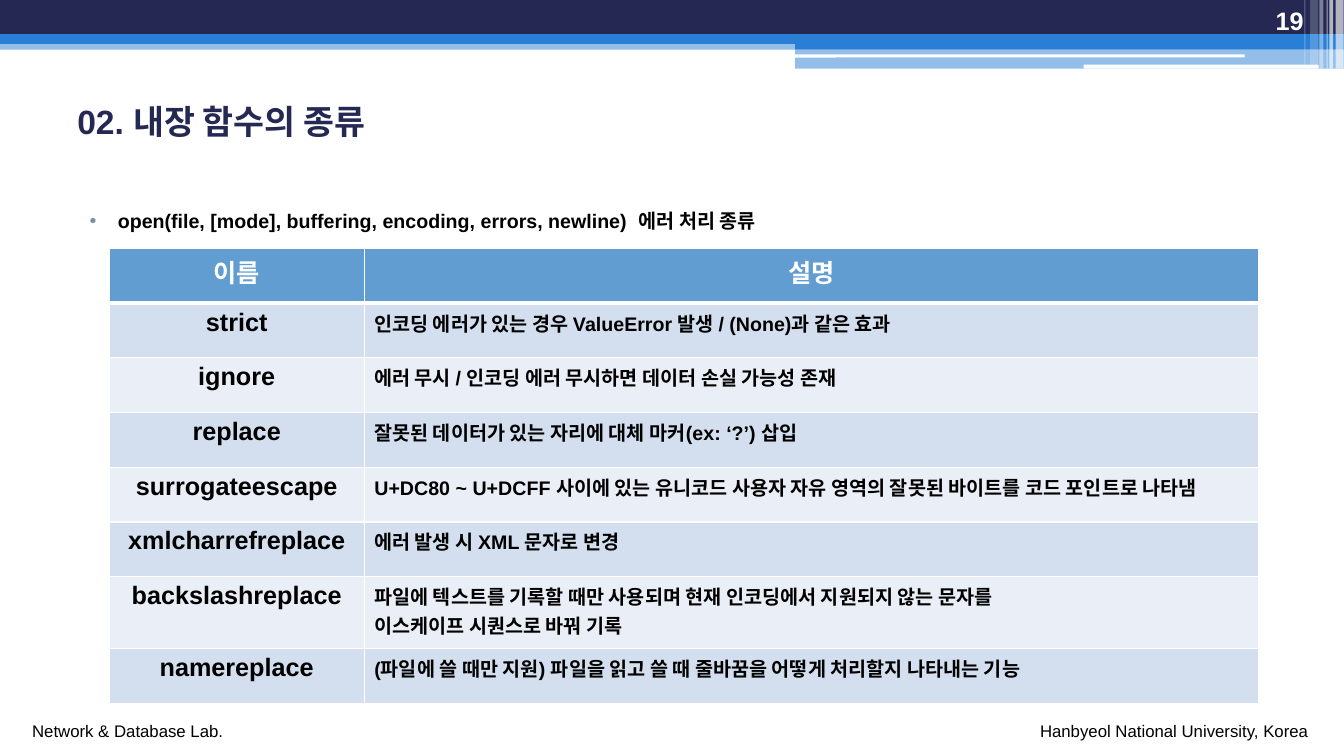
from dataclasses import dataclass

from lxml.etree import SubElement
from pptx import Presentation
from pptx.dml.color import RGBColor as Rgb
from pptx.enum.shapes import MSO_SHAPE as Shape
from pptx.enum.text import MSO_ANCHOR as Anchor, PP_ALIGN as Align
from pptx.oxml.ns import qn
from pptx.util import Cm, Pt


@dataclass(frozen=True)
class Theme:
    """Colours, font and type sizes of the slide."""
    font: str = "Arial"
    navy: str = "242852"
    blue: str = "297FD5"
    white: str = "FFFFFF"
    black: str = "000000"
    bullet: str = "7F8FA9"
    header: str = "629DD1"
    bands: tuple = ("D3DFEE", "EAEFF7")
    title_size: int = 24
    head_size: int = 18
    body_size: int = 14
    footer_size: int = 12


BARS = [
    (0, 1.02, 33.87, 0.23, "blue", 50),
    (0, 0, 33.87, 0.86, "navy", 100),
    (0, 0.86, 33.87, 0.25, "blue", 100),
    (20.04, 0.99, 13.83, 0.25, "blue", 100),
    (20.04, 1.22, 13.83, 0.51, "blue", 50),
]
GAPS = [(20.02, 1.37, 11.35, 0.08), (27.31, 1.63, 5.92, 0.1)]
STRIPES = [
    (33.66, 0.2, 1.73, 65),
    (33.5, 0.1, 1.73, 65),
    (33.43, 0.03, 1.73, 60),
    (33.25, 0.1, 1.73, 40),
    (33.02, 0.2, 1.63, 20),
    (32.87, 0.03, 1.63, 30),
]
ERROR_HANDLERS = [
    ("이름", "설명"),
    ("strict", "인코딩 에러가 있는 경우 ValueError 발생 / (None)과 같은 효과"),
    ("ignore", "에러 무시 / 인코딩 에러 무시하면 데이터 손실 가능성 존재"),
    ("replace", "잘못된 데이터가 있는 자리에 대체 마커(ex: ‘?’) 삽입"),
    ("surrogateescape", "U+DC80 ~ U+DCFF 사이에 있는 유니코드 사용자 자유 영역의 "
                        "잘못된 바이트를 코드 포인트로 나타냄"),
    ("xmlcharrefreplace", "에러 발생 시 XML 문자로 변경"),
    ("backslashreplace", "파일에 텍스트를 기록할 때만 사용되며 현재 인코딩에서 지원되지 "
                         "않는 문자를\n이스케이프 시퀀스로 바꿔 기록"),
    ("namereplace", "(파일에 쓸 때만 지원) 파일을 읽고 쓸 때 줄바꿈을 어떻게 처리할지 "
                    "나타내는 기능"),
]


def apply(target, values):
    """Set every attribute named in values on target."""
    for name, value in values.items():
        setattr(target, name, value)


class SlideBuilder:
    """Draws styled elements on the current slide."""

    def __init__(self, slide, theme):
        """Keep the slide and its theme."""
        self.slide = slide
        self.theme = theme

    def bar(self, left, top, width, height, colour, alpha=100, kind=Shape.RECTANGLE):
        """Add a plain filled bar with optional transparency."""
        shape = self.slide.shapes.add_shape(kind, Cm(left), Cm(top), Cm(width), Cm(height))
        shape.shadow.inherit = False
        shape.line.fill.background()
        shape.fill.solid()
        shape.fill.fore_color.rgb = Rgb.from_string(colour)
        if alpha < 100:
            colour_node = shape.fill._xPr.find(qn("a:solidFill"))[0]
            SubElement(colour_node, qn("a:alpha"), val=str(alpha * 1000))

    def fill_text(self, frame, content, size, colour, bold=True, align=Align.LEFT):
        """Fill a text frame, one paragraph per line of content."""
        frame.text = content
        for paragraph in frame.paragraphs:
            paragraph.alignment = align
            for run in paragraph.runs:
                apply(run.font, {"name": self.theme.font, "size": Pt(size), "bold": bold})
                run.font.color.rgb = Rgb.from_string(colour)

    def text(self, box, content, size, colour, frame_format=None, **style):
        """Add a text box and return its text frame."""
        frame = self.slide.shapes.add_textbox(*map(Cm, box)).text_frame
        apply(frame, {"word_wrap": True, **(frame_format or {})})
        self.fill_text(frame, content, size, colour, **style)
        return frame

    def bullet(self, paragraph, margin, hanging):
        """Give a paragraph a coloured bullet and a hanging indent."""
        paragraph.space_before = Pt(3)
        properties = paragraph._p.get_or_add_pPr()
        properties.set("marL", str(Cm(margin)))
        properties.set("indent", str(-Cm(hanging)))
        colour = SubElement(properties, qn("a:buClr"))
        SubElement(colour, qn("a:srgbClr"), val=self.theme.bullet)
        SubElement(properties, qn("a:buFont"), typeface=self.theme.font)
        SubElement(properties, qn("a:buChar"), char="•")

    def borders(self, cell, bottom):
        """Draw white borders round a cell."""
        properties = cell._tc.get_or_add_tcPr()
        for side, width in (("L", 1), ("R", 1), ("T", 1), ("B", bottom)):
            line = SubElement(properties, qn(f"a:ln{side}"), w=str(Pt(width)))
            fill = SubElement(line, qn("a:solidFill"))
            SubElement(fill, qn("a:srgbClr"), val=self.theme.white)

    def table(self, left, top, widths, heights, rows):
        """Add a banded table with a header row and a centred first column."""
        theme = self.theme
        table = self.slide.shapes.add_table(
            len(rows), len(widths), Cm(left), Cm(top), Cm(sum(widths)), Cm(sum(heights))).table
        apply(table, {"first_row": False, "horz_banding": False})
        for column, width in zip(table.columns, widths):
            column.width = Cm(width)
        for index, (height, row) in enumerate(zip(heights, rows)):
            table.rows[index].height = Cm(height)
            is_header = index == 0
            fill = theme.header if is_header else theme.bands[(index - 1) % 2]
            for column, content in enumerate(row):
                cell = table.cell(index, column)
                is_heading = is_header or column == 0
                self.borders(cell, 3 if is_header else 1)
                cell.fill.solid()
                cell.fill.fore_color.rgb = Rgb.from_string(fill)
                self.fill_text(cell.text_frame, content,
                               theme.head_size if is_heading else theme.body_size,
                               theme.white if is_header else theme.black,
                               align=Align.CENTER if is_heading else Align.LEFT)


def main():
    """Build and save the slide."""
    theme = Theme()
    presentation = Presentation()
    apply(presentation, {"slide_width": Cm(33.87), "slide_height": Cm(19.05)})
    builder = SlideBuilder(presentation.slides.add_slide(presentation.slide_layouts[6]), theme)

    for *box, colour, alpha in BARS:
        builder.bar(*box, getattr(theme, colour), alpha)
    for box in GAPS:
        builder.bar(*box, theme.white, kind=Shape.ROUNDED_RECTANGLE)
    for left, width, height, alpha in STRIPES:
        builder.bar(left, 0, width, height, theme.white, alpha)

    for left, width, content in ((0.56, 5.36, "Network & Database Lab."),
                                 (25.96, 7.47, "Hanbyeol National University, Korea")):
        builder.text((left, 18.03, width, 0.76), content, theme.footer_size, theme.black,
                     {"word_wrap": False}, bold=False)
    builder.text((1.7, 1.57, 30.48, 2.97), "02. 내장 함수의 종류", theme.title_size, theme.navy,
                 {"vertical_anchor": Anchor.MIDDLE})
    signature = builder.text(
        (1.7, 4.55, 30.48, 13.72),
        "open(file, [mode], buffering, encoding, errors, newline)  에러 처리 종류",
        theme.body_size, theme.black, {"margin_top": Cm(0.71)})
    builder.bullet(signature.paragraphs[0], 1.02, 0.71)
    builder.text((30.28, 0, 2.82, 1.02), "19", theme.head_size, theme.white,
                 {"vertical_anchor": Anchor.BOTTOM}, align=Align.RIGHT)
    builder.table(2.75, 6.26, (6.43, 22.55), [1.38] * 6 + [1.81, 1.38], ERROR_HANDLERS)

    presentation.save("out.pptx")


if __name__ == "__main__":
    main()
